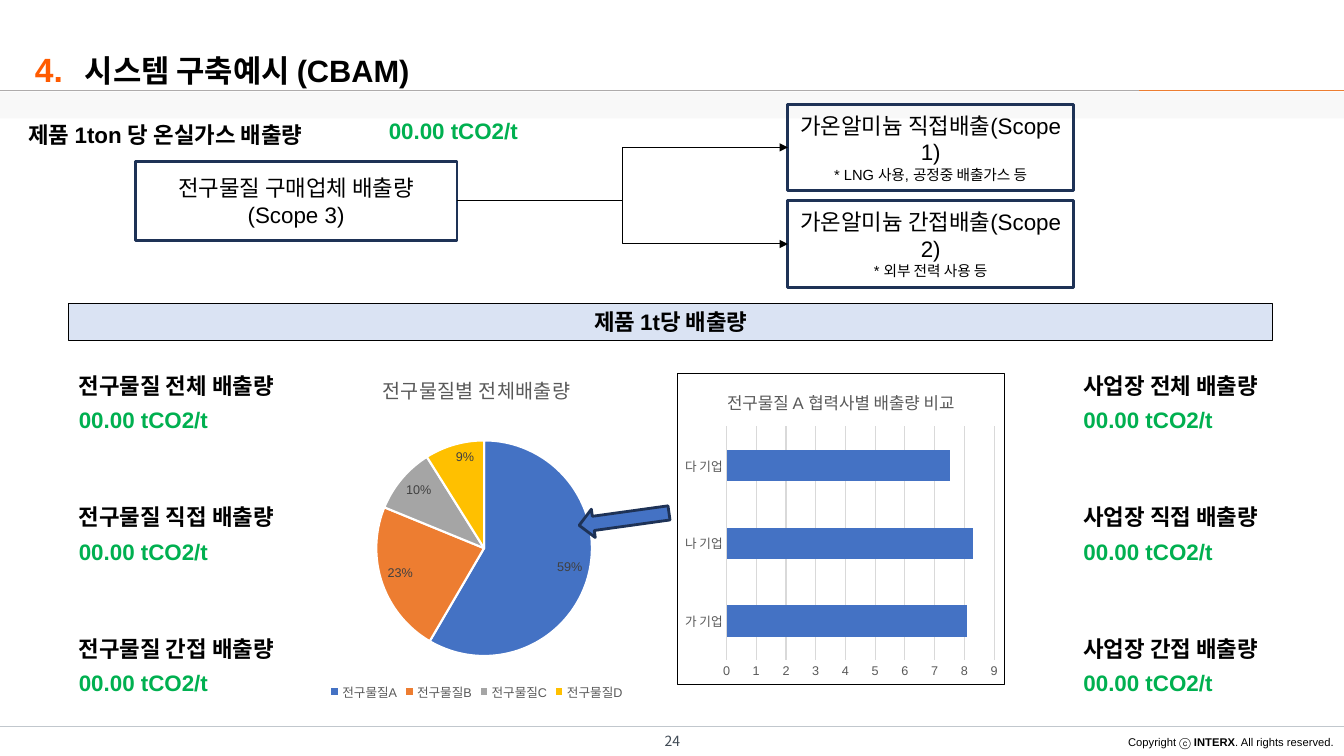
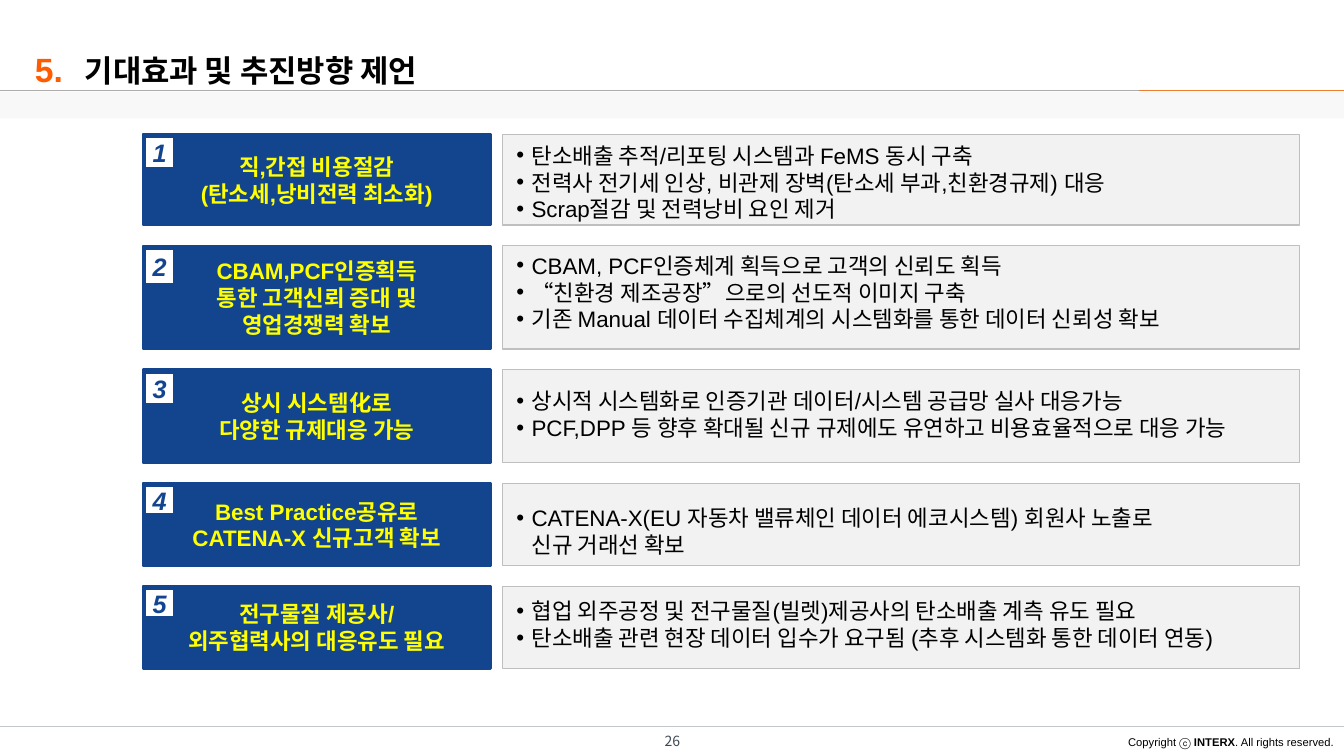
from lxml import etree
from pptx import Presentation
from pptx.chart.data import CategoryChartData
from pptx.dml.color import RGBColor
from pptx.enum.chart import XL_CHART_TYPE as Chart
from pptx.enum.chart import XL_LABEL_POSITION, XL_LEGEND_POSITION, XL_TICK_MARK
from pptx.enum.shapes import MSO_CONNECTOR as Connector
from pptx.enum.shapes import MSO_SHAPE as Shape
from pptx.enum.text import MSO_ANCHOR as Anchor
from pptx.enum.text import MSO_AUTO_SIZE, PP_ALIGN as Align
from pptx.oxml import parse_xml
from pptx.oxml.ns import nsdecls, qn
from pptx.util import Inches, Pt

# The grid: square cells, twelve to the inch
CELL = Inches(1) / 12
COLUMNS, ROWS = 160, 90

LATIN_FONT, KOREAN_FONT = "Arial", "Noto Sans CJK KR"

BLACK = RGBColor(0x00, 0x00, 0x00)
WHITE = RGBColor(0xFF, 0xFF, 0xFF)
ORANGE_NUMBER = RGBColor(0xFF, 0x5B, 0x00)
ORANGE = RGBColor(0xED, 0x7D, 0x31)
BLUE = RGBColor(0x44, 0x72, 0xC4)
GRAY = RGBColor(0xA5, 0xA5, 0xA5)
GOLD = RGBColor(0xFF, 0xC0, 0x00)
GREEN = RGBColor(0x00, 0xB0, 0x50)
YELLOW = RGBColor(0xFF, 0xFF, 0x00)
NAVY = RGBColor(0x1E, 0x32, 0x56)
CARD_BLUE = RGBColor(0x13, 0x45, 0x8F)
PALE_BLUE = RGBColor(0xDA, 0xE3, 0xF3)
PALE_GRAY = RGBColor(0xF2, 0xF2, 0xF2)
PANEL_LINE = RGBColor(0xBF, 0xBF, 0xBF)
GRID_LINE = RGBColor(0xD9, 0xD9, 0xD9)
TITLE_RULE = RGBColor(0xAE, 0xAB, 0xAB)
FOOTER_RULE = RGBColor(0xC1, 0xC7, 0xCD)
PAGE_TEXT = RGBColor(0x40, 0x4A, 0x54)
CHART_TEXT = RGBColor(0x59, 0x59, 0x59)
LABEL_TEXT = RGBColor(0x40, 0x40, 0x40)

EMISSION = "00.00 tCO2/t"


def grid(*cells):
    """Turn counts of grid cells into lengths."""
    return [round(count * CELL) for count in cells]


def style(font, size, color=BLACK, bold=False, italic=False, name=LATIN_FONT):
    font.size, font.bold, font.italic, font.name = Pt(size), bold, italic, name
    font.color.rgb = color
    etree.SubElement(font._rPr, qn("a:ea")).set("typeface", KOREAN_FONT)


def add_bullet(paragraph):
    properties = paragraph._p.get_or_add_pPr()
    properties.set("marL", str(Inches(0.15)))
    properties.set("indent", str(-Inches(0.15)))
    color = etree.SubElement(properties, qn("a:buClr"))
    etree.SubElement(color, qn("a:srgbClr")).set("val", str(BLACK))
    etree.SubElement(properties, qn("a:buFont")).set("typeface", LATIN_FONT)
    etree.SubElement(properties, qn("a:buChar")).set("char", "•")


def write(shape, lines, size, color=BLACK, align=Align.LEFT, anchor=Anchor.TOP,
          margins=(0.1, 0.05), spacing=None, bulleted=False, **font_options):
    """Fill a shape with paragraphs; a line may be a (text, size) pair."""
    frame = shape.text_frame
    frame.word_wrap, frame.vertical_anchor = True, anchor
    frame.auto_size = MSO_AUTO_SIZE.NONE
    frame.margin_left = frame.margin_right = Inches(margins[0])
    frame.margin_top = frame.margin_bottom = Inches(margins[1])
    for index, line in enumerate(lines):
        text, line_size = line if isinstance(line, tuple) else (line, size)
        paragraph = frame.add_paragraph() if index else frame.paragraphs[0]
        paragraph.text, paragraph.alignment = text, align
        if spacing:
            paragraph.line_spacing = spacing
        if bulleted:
            add_bullet(paragraph)
        style(paragraph.font, line_size, color, **font_options)


def add_text(slide, cells, lines, size, **options):
    box = slide.shapes.add_textbox(*grid(*cells))
    write(box, lines, size, **options)
    return box


def add_box(slide, cells, fill=None, line=None, width=1, kind=Shape.RECTANGLE):
    box = slide.shapes.add_shape(kind, *grid(*cells))
    box.shadow.inherit = False
    if fill is None:
        box.fill.background()
    else:
        box.fill.solid()
        box.fill.fore_color.rgb = fill
    if line is None:
        box.line.fill.background()
    else:
        box.line.color.rgb, box.line.width = line, Pt(width)
    return box


def add_line(slide, start, end, color, kind=Connector.STRAIGHT):
    line = slide.shapes.add_connector(kind, *grid(*start, *end))
    line.line.color.rgb, line.line.width = color, Pt(0.75)
    etree.SubElement(line.element.spPr, qn("a:effectLst"))
    return line


def add_elbow_arrow(slide, source, target):
    arrow = add_line(slide, (0, 0), (1, 1), BLACK, Connector.ELBOW)
    arrow.begin_connect(source, 3)
    arrow.end_connect(target, 1)
    outline = arrow.line._get_or_add_ln()
    etree.SubElement(outline, qn("a:tailEnd")).set("type", "triangle")


def decorate_layout(layout, slide):
    """Draw the band, rules and copyright on a slide, then move them to its layout."""
    footer_row, title_row, accent_column = 86.5, 10.8, 135.6
    add_line(slide, (0, footer_row), (COLUMNS, footer_row), FOOTER_RULE)
    copyright_box = add_text(slide, (132.7, 86.9, 27.3, 2.9), ["Copyright ⓒ "], 8,
                             align=Align.RIGHT)
    paragraph = copyright_box.text_frame.paragraphs[0]
    owner = paragraph.add_run()
    owner.text, owner.font.bold = "INTERX", True
    paragraph.add_run().text = ". All rights reserved."
    band = add_box(slide, (0, 10.9, COLUMNS, 3.2), PALE_GRAY)
    band_color = next(band.element.spPr.iter(qn("a:srgbClr")))
    etree.SubElement(band_color, qn("a:alpha")).set("val", "50000")
    add_line(slide, (0, title_row), (accent_column, title_row), TITLE_RULE)
    add_line(slide, (accent_column, title_row), (COLUMNS, title_row), ORANGE)
    decorations = [shape for shape in slide.shapes if not shape.is_placeholder]
    for number, shape in enumerate(decorations, start=100):
        shape.element.xpath(".//p:cNvPr")[0].set("id", str(number))
        layout.shapes.element.insert_element_before(shape.element, "p:extLst")


def add_header(slide, number, title, page):
    heading = {"bold": True, "margins": (0, 0), "spacing": 1.6}
    add_text(slide, (2.2, 2.9, 5.3, 7.8), [number], 24, color=ORANGE_NUMBER,
             align=Align.RIGHT, **heading)
    placeholder = slide.shapes.title
    (placeholder.left, placeholder.top,
     placeholder.width, placeholder.height) = grid(10.1, 3.5, 124.2, 7.1)
    write(placeholder, [title], 22, **heading)
    add_text(slide, (69.6, 87, 20.9, 2.4), [page], 10, color=PAGE_TEXT,
             align=Align.CENTER, anchor=Anchor.MIDDLE, name=KOREAN_FONT)


def add_emission(slide, left, top, label):
    add_text(slide, (left, top, 28.6, 4.4), [label], 16, bold=True)
    add_text(slide, (left, top + 4.1, 18.8, 4.4), [EMISSION], 16,
             color=GREEN, bold=True)


def add_scope_box(slide, cells, lines):
    box = add_box(slide, cells, line=NAVY, width=2)
    write(box, lines, 16, align=Align.CENTER, anchor=Anchor.MIDDLE)
    return box


def add_chart(slide, kind, cells, title, title_size, values, plot, border):
    """Add a one-series chart; plot is the inner plot area as shares of the chart."""
    data = CategoryChartData()
    data.categories = list(values)
    data.add_series(title, list(values.values()))
    chart = slide.shapes.add_chart(kind, *grid(*cells), data).chart
    style(chart.font, 9, CHART_TEXT)
    chart.has_title, chart.has_legend = True, False
    chart.chart_title.include_in_layout = False
    paragraph = chart.chart_title.text_frame.paragraphs[0]
    paragraph.text = title
    style(paragraph.font, title_size, CHART_TEXT)

    area = chart.element.find(".//" + qn("c:plotArea"))
    for automatic in area.findall(qn("c:layout")):
        area.remove(automatic)
    sides = "".join(f'<c:{side} val="{share}"/>' for side, share in zip("xywh", plot))
    area.insert(0, parse_xml(
        f'<c:layout {nsdecls("c")}><c:manualLayout><c:layoutTarget val="inner"/>'
        f'<c:xMode val="edge"/><c:yMode val="edge"/>{sides}</c:manualLayout></c:layout>'))
    paint = (f'<a:solidFill><a:srgbClr val="{border}"/></a:solidFill>'
             if border else "<a:noFill/>")
    chart.element.find(qn("c:chart")).addnext(parse_xml(
        f'<c:spPr {nsdecls("c", "a")}><a:noFill/>'
        f'<a:ln w="{Pt(0.75)}">{paint}</a:ln></c:spPr>'))
    return chart


def add_material_pie(slide):
    values = {"전구물질A": 59, "전구물질B": 23, "전구물질C": 10, "전구물질D": 9}
    chart = add_chart(slide, Chart.PIE, (34.6, 42.5, 44.3, 41.4), "전구물질별 전체배출량",
                      14, values, (0.23, 0.24, 0.58, 0.62), None)
    chart.has_legend = True
    chart.legend.position = XL_LEGEND_POSITION.BOTTOM
    chart.legend.include_in_layout = False
    style(chart.legend.font, 9, CHART_TEXT)
    plot = chart.plots[0]
    plot.vary_by_categories = True
    for index, color in enumerate((BLUE, ORANGE, GRAY, GOLD)):
        slice_format = plot.series[0].points[index].format
        slice_format.fill.solid()
        slice_format.fill.fore_color.rgb = color
        slice_format.line.color.rgb, slice_format.line.width = WHITE, Pt(1.5)
    plot.has_data_labels = True
    labels = plot.data_labels
    labels.show_value, labels.show_percentage = True, False
    labels.number_format, labels.number_format_is_linked = '0"%"', False
    labels.position = XL_LABEL_POSITION.INSIDE_END
    style(labels.font, 9, LABEL_TEXT)


def add_supplier_bars(slide):
    values = {"가 기업": 8.1, "나 기업": 8.3, "다 기업": 7.5}
    chart = add_chart(slide, Chart.BAR_CLUSTERED, (80.6, 44.4, 39, 37.2),
                      "전구물질 A 협력사별 배출량 비교", 12, values,
                      (0.15, 0.17, 0.82, 0.75), BLACK)
    plot = chart.plots[0]
    plot.gap_width, plot.vary_by_categories = 150, False
    bars = plot.series[0].format.fill
    bars.solid()
    bars.fore_color.rgb = BLUE
    for axis in (chart.category_axis, chart.value_axis):
        axis.major_tick_mark = axis.minor_tick_mark = XL_TICK_MARK.NONE
        axis.format.line.fill.background()
        style(axis.tick_labels.font, 9, CHART_TEXT)
    axis = chart.value_axis
    axis.minimum_scale, axis.maximum_scale, axis.major_unit = 0, 9, 1
    axis.tick_labels.number_format = "0"
    axis.tick_labels.number_format_is_linked = False
    axis.major_gridlines.format.line.color.rgb = GRID_LINE
    axis.major_gridlines.format.line.width = Pt(0.75)


def build_system_slide(slide):
    add_header(slide, "4.", "시스템 구축예시 (CBAM)", "24")
    add_text(slide, (2.2, 13.8, 39, 4.4), ["제품 1ton 당 온실가스 배출량"], 16, bold=True)
    add_text(slide, (45.1, 13.3, 18.8, 4.4), [EMISSION], 16, color=GREEN, bold=True)

    supplier = add_scope_box(slide, (16.1, 19.2, 38.3, 9.4),
                             ["전구물질 구매업체 배출량", "(Scope 3)"])
    scopes = (("가온알미늄 직접배출(Scope 1)", "* LNG 사용, 공정중 배출가스 등"),
              ("가온알미늄 간접배출(Scope 2)", "* 외부 전력 사용 등"))
    for index, (scope, note) in enumerate(scopes):
        box = add_scope_box(slide, (93.8, 12.4 + 11.5 * index, 34, 10.3),
                            [scope, (note, 10.5)])
        add_elbow_arrow(slide, supplier, box)

    banner = add_box(slide, (8.2, 36.1, 143.3, 4.4), PALE_BLUE, BLACK, 0.75)
    write(banner, ["제품 1t당 배출량"], 16, align=Align.CENTER, bold=True)
    for left, owner in ((8.2, "전구물질"), (127.8, "사업장")):
        for index, scope in enumerate(("전체", "직접", "간접")):
            add_emission(slide, left, 43.7 + 15.65 * index, f"{owner} {scope} 배출량")
    add_material_pie(slide)
    add_supplier_bars(slide)
    arrow = add_box(slide, (68.9, 60.1, 10.8, 3.4), BLUE, NAVY, 2, Shape.LEFT_ARROW)
    arrow.rotation = 352.1


def add_effect_row(slide, number, top, height, effect, text_offset, details):
    centered = {"align": Align.CENTER, "anchor": Anchor.MIDDLE,
                "margins": (0, 0), "bold": True}
    card = add_box(slide, (17, top, 41.4, height), CARD_BLUE, CARD_BLUE, 1.5)
    write(card, effect, 16, color=YELLOW, **centered)
    badge = add_box(slide, (17.3, top + 0.35, 3.4, height * 0.34), WHITE, CARD_BLUE, 1.5)
    write(badge, [str(number)], 18, color=CARD_BLUE, italic=True, **centered)
    add_box(slide, (59.8, top, 94.9, height), PALE_GRAY, PANEL_LINE)
    add_text(slide, (61, top + text_offset, 93.5, height - text_offset), details, 16,
             margins=(0.04, 0.04), bulleted=True)


def build_effects_slide(slide):
    add_header(slide, "5.", "기대효과 및 추진방향 제언", "26")
    effects = (
        (10.8, ["직,간접 비용절감", "(탄소세,낭비전력 최소화)"], 0.4,
         ["탄소배출 추적/리포팅 시스템과 FeMS 동시 구축",
          "전력사 전기세 인상, 비관제 장벽(탄소세 부과,친환경규제) 대응",
          "Scrap절감 및 전력낭비 요인 제거"]),
        (12.3, ["CBAM,PCF인증획득", "통한 고객신뢰 증대 및", "영업경쟁력 확보"], 0.25,
         ["CBAM, PCF인증체계 획득으로 고객의 신뢰도 획득",
          "“친환경 제조공장”으로의 선도적 이미지 구축",
          "기존 Manual 데이터 수집체계의 시스템화를 통한 데이터 신뢰성 확보"]),
        (11.1, ["상시 시스템化로", "다양한 규제대응 가능"], 1.6,
         ["상시적 시스템화로 인증기관 데이터/시스템 공급망 실사 대응가능",
          "PCF,DPP 등 향후 확대될 신규 규제에도 유연하고 비용효율적으로 대응 가능"]),
        (9.8, ["Best Practice공유로", "CATENA-X 신규고객 확보"], 2,
         ["CATENA-X(EU 자동차 밸류체인 데이터 에코시스템) 회원사 노출로\v신규 거래선 확보"]),
        (9.8, ["전구물질 제공사/", "외주협력사의 대응유도 필요"], 0.85,
         ["협업 외주공정 및 전구물질(빌렛)제공사의 탄소배출 계측 유도 필요",
          "탄소배출 관련 현장 데이터 입수가 요구됨 (추후 시스템화 통한 데이터 연동)"]),
    )
    top, gap = 16, 2.45
    for number, (height, *content) in enumerate(effects, start=1):
        add_effect_row(slide, number, top, height, *content)
        top += height + gap


def main():
    presentation = Presentation()
    presentation.slide_width, presentation.slide_height = grid(COLUMNS, ROWS)
    layout = presentation.slide_layouts[5]
    system_slide = presentation.slides.add_slide(layout)
    decorate_layout(layout, system_slide)
    build_system_slide(system_slide)
    build_effects_slide(presentation.slides.add_slide(layout))
    presentation.save("out.pptx")


if __name__ == "__main__":
    main()
